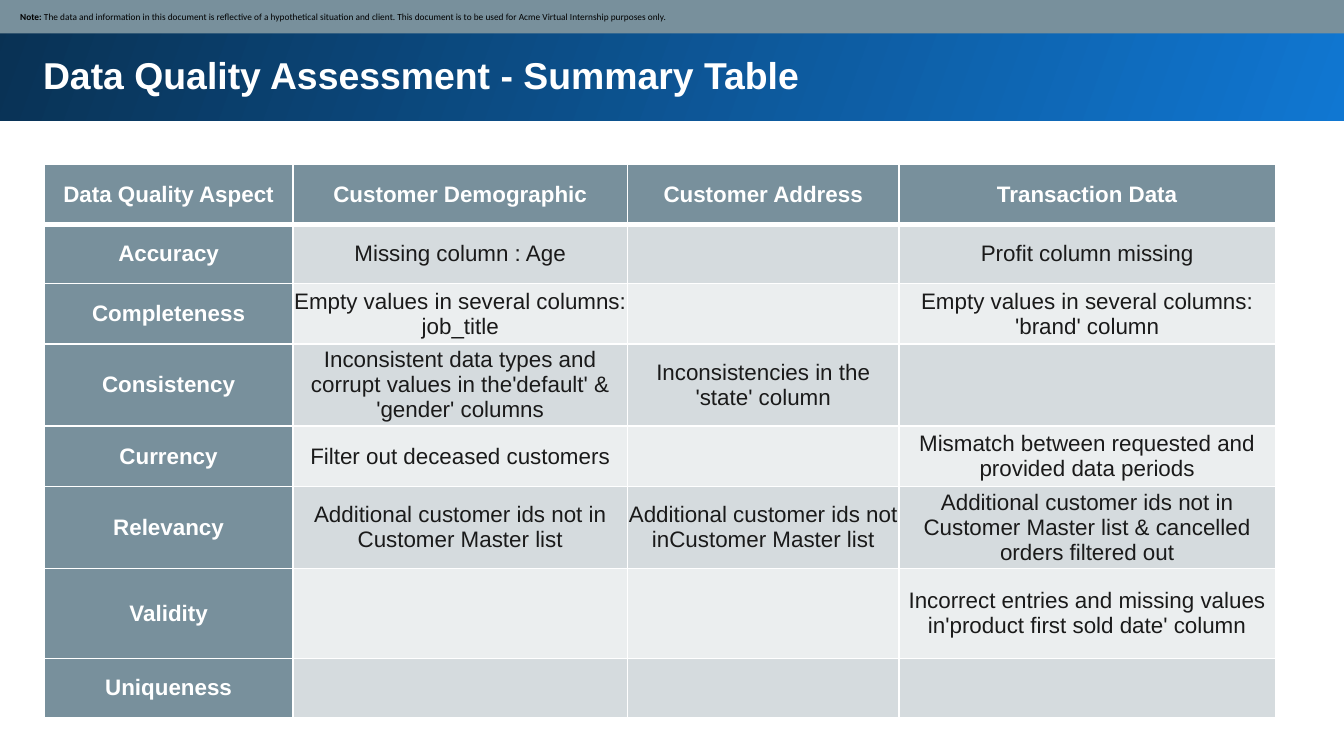
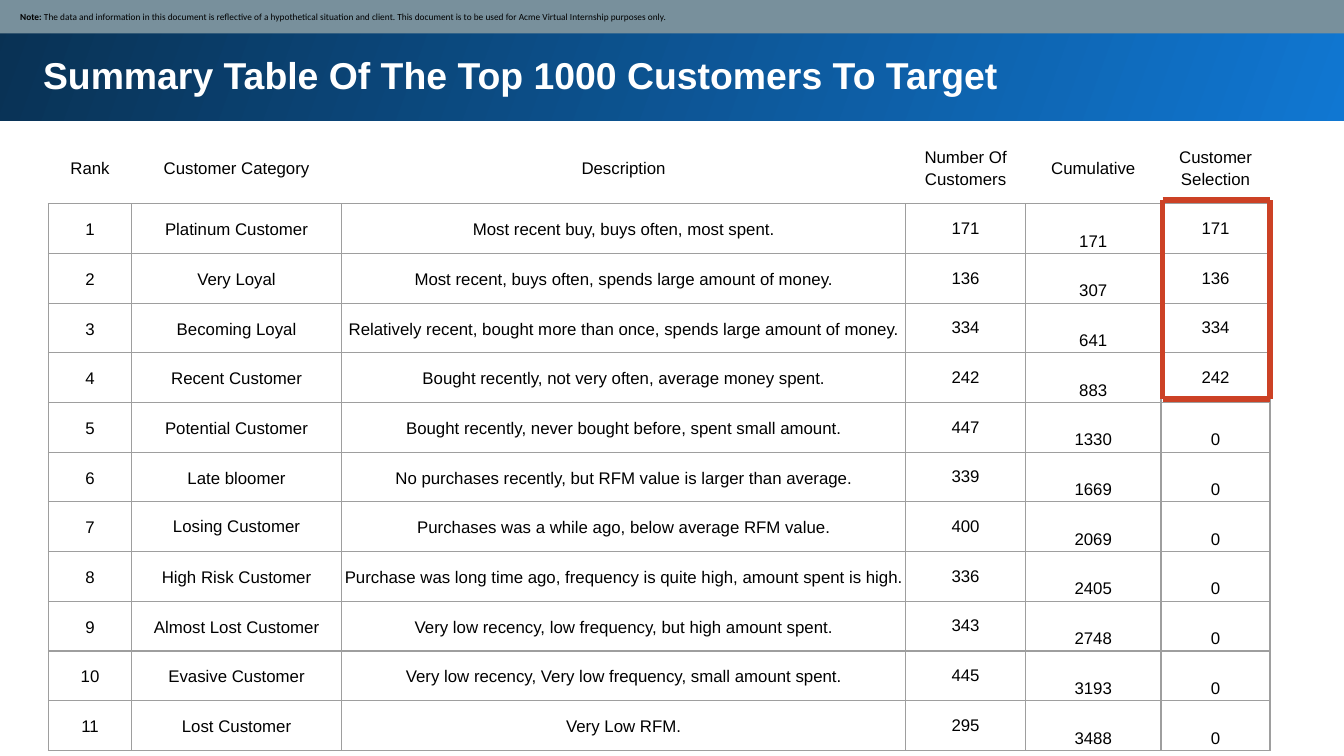
from dataclasses import dataclass
from itertools import accumulate

from lxml import etree
from pptx import Presentation
from pptx import util as u
from pptx.dml.color import RGBColor
from pptx.enum import shapes, text
from pptx.oxml.ns import qn

TOP, MIDDLE, BOTTOM = (text.MSO_ANCHOR.TOP, text.MSO_ANCHOR.MIDDLE,
                       text.MSO_ANCHOR.BOTTOM)
TITLE_ONLY = 5


@dataclass(frozen=True)
class Theme:
    white: str = "FFFFFF"
    black: str = "000000"
    ink: str = "1A1A1A"
    slate: str = "78909C"
    stripe_dark: str = "D5DBDE"
    stripe_light: str = "EBEEEF"
    grid: str = "9E9E9E"
    blue: str = "1077D2"
    navy: str = "093153"
    accent: str = "CC4125"
    font: str = "Arial"
    note_font: str = "Calibri"
    title_size: float = 20
    quality_size: float = 12
    customer_size: float = 9
    note_size: float = 5


T = Theme()


@dataclass(frozen=True)
class Box:
    left: float
    top: float
    width: float
    height: float

    def emu(self) -> tuple:
        return tuple(u.Inches(v) for v in
                     (self.left, self.top, self.width, self.height))


@dataclass(frozen=True)
class Style:
    size: float
    color: str
    bold: bool = False
    font: str = T.font


@dataclass(frozen=True)
class Edge:
    color: str
    width: float


@dataclass(frozen=True)
class CellLook:
    style: Style
    edges: tuple  # left, right, top, bottom
    fill: str | None = None
    anchor: text.MSO_ANCHOR = MIDDLE
    margin: float = 0
    spacing: float = 1.0


TITLE_BAND = Box(-0.02, -0.02, 10.05, 0.92)
TITLE_BOX = Box(0.22, 0.29, 9.37, 0.51)
NOTE_BAND = Box(-0.01, -0.01, 10.03, 0.26)
NOTE_BOX = Box(-0.01, 0.04, 10.03, 0.17)
TITLE_STYLE = Style(T.title_size, T.white, True)
NOTE = ("The data and information in this document is reflective of a "
        "hypothetical situation and client. This document is to be used for "
        "Acme Virtual Internship purposes only.")

QUALITY_COLS = (1.85, 2.49, 2.02, 2.8)
QUALITY_ROWS = (0.45, 0.44, 0.45, 0.61, 0.45, 0.61, 0.67, 0.44)
QUALITY = (
    ("Data Quality Aspect", "Customer Demographic", "Customer Address",
     "Transaction Data"),
    ("Accuracy", "Missing column : Age", "", "Profit column missing"),
    ("Completeness", "Empty values in several columns: job_title", "",
     "Empty values in several columns: 'brand' column"),
    ("Consistency",
     "Inconsistent data types and corrupt values in the'default' & 'gender' columns",
     "Inconsistencies in the 'state' column", ""),
    ("Currency", "Filter out deceased customers", "",
     "Mismatch between requested and provided data periods"),
    ("Relevancy", "Additional customer ids not in Customer Master list",
     "Additional customer ids not inCustomer Master list",
     "Additional customer ids not in Customer Master list & cancelled orders filtered out"),
    ("Validity", "", "",
     "Incorrect entries and missing values in'product first sold date' column"),
    ("Uniqueness", "", "", ""),
)

CUSTOMER_COLS = (0.62, 1.56, 4.2, 0.89, 1.01, 0.81)
CUSTOMER_HEADS = ("Rank", "Customer Category", "Description",
                  "Number Of Customers", "Cumulative", "Customer Selection")
CUSTOMERS = (
    ("Platinum Customer", "Most recent buy, buys often, most spent.", 171),
    ("Very Loyal", "Most recent, buys often, spends large amount of money.", 136),
    ("Becoming Loyal",
     "Relatively recent, bought more than once, spends large amount of money.", 334),
    ("Recent Customer", "Bought recently, not very often, average money spent.", 242),
    ("Potential Customer",
     "Bought recently, never bought before, spent small amount.", 447),
    ("Late bloomer",
     "No purchases recently, but RFM value is larger than average.", 339),
    ("Losing Customer", "Purchases was a while ago, below average RFM value.", 400),
    ("High Risk Customer",
     "Purchase was long time ago, frequency is quite high, amount spent is high.", 336),
    ("Almost Lost Customer",
     "Very low recency, low frequency, but high amount spent.", 343),
    ("Evasive Customer",
     "Very low recency, Very low frequency, small amount spent.", 445),
    ("Lost Customer", "Very Low RFM.", 295),
)
SELECTED = 4


# Drawing helpers
def rgb(color: str) -> RGBColor:
    return RGBColor.from_string(color)


def add_run(p, words: str, style: Style) -> None:
    r = p.add_run()
    r.text = words
    r.font.name = style.font
    r.font.size = u.Pt(style.size)
    r.font.bold = style.bold
    r.font.color.rgb = rgb(style.color)


def set_frame(tf, anchor, margin: float) -> None:
    tf.word_wrap = True
    tf.auto_size = text.MSO_AUTO_SIZE.SHAPE_TO_FIT_TEXT
    tf.vertical_anchor = anchor
    tf.margin_left = tf.margin_right = u.Inches(margin)
    tf.margin_top = tf.margin_bottom = u.Inches(margin)


def add_band(parent, box: Box):
    sp = parent.add_shape(shapes.MSO_SHAPE.RECTANGLE, *box.emu())
    sp.shadow.inherit = False
    sp.line.fill.background()
    return sp


def add_edge(tc_pr, index: int, tag: str, edge: Edge) -> None:
    ln = etree.Element(qn(tag), w=str(u.Pt(edge.width)))
    fill = etree.SubElement(ln, qn("a:solidFill"))
    etree.SubElement(fill, qn("a:srgbClr"), val=edge.color)
    tc_pr.insert(index, ln)


def fill_cell(cell, words: str, look: CellLook) -> None:
    tc_pr = cell._tc.get_or_add_tcPr()
    for i, (side, edge) in enumerate(zip("LRTB", look.edges)):
        add_edge(tc_pr, i, f"a:ln{side}", edge)
    if look.fill:
        cell.fill.solid()
        cell.fill.fore_color.rgb = rgb(look.fill)
    else:
        cell.fill.background()
    cell.vertical_anchor = look.anchor
    cell.margin_left = cell.margin_right = u.Inches(look.margin)
    cell.margin_top = cell.margin_bottom = u.Inches(look.margin)
    p = cell.text_frame.paragraphs[0]
    p.alignment = text.PP_ALIGN.CENTER
    p.line_spacing = look.spacing
    if words:
        add_run(p, words, look.style)


def add_grid(s, left: float, top: float, cols, rows, data, look_at) -> None:
    box = Box(left, top, sum(cols), sum(rows))
    table = s.shapes.add_table(len(rows), len(cols), *box.emu()).table
    table.first_row = table.horz_banding = False
    for column, width in zip(table.columns, cols):
        column.width = u.Inches(width)
    for row, height in zip(table.rows, rows):
        row.height = u.Inches(height)
    for i, line in enumerate(data):
        for j, words in enumerate(line):
            fill_cell(table.cell(i, j), str(words), look_at(i, j))


def add_line(s, x1: float, y1: float, x2: float, y2: float) -> None:
    c = s.shapes.add_connector(shapes.MSO_CONNECTOR.STRAIGHT,
                               *(u.Inches(v) for v in (x1, y1, x2, y2)))
    c.line.color.rgb = rgb(T.accent)
    c.line.width = u.Pt(3)
    etree.SubElement(c.element.spPr, qn("a:effectLst"))


def new_slide(prs, heading: str):
    s = prs.slides.add_slide(prs.slide_layouts[TITLE_ONLY])

    # Gradient band with the title on it
    band = add_band(s.shapes, TITLE_BAND)
    band.fill.gradient()
    band.fill.gradient_angle = 160
    for stop, color in zip(band.fill.gradient_stops, (T.blue, T.navy)):
        stop.color.rgb = rgb(color)
    title = s.shapes.title
    band.element.addnext(title.element)
    title.left, title.top, title.width, title.height = TITLE_BOX.emu()
    set_frame(title.text_frame, TOP, 0.1)
    p = title.text_frame.paragraphs[0]
    p.alignment = text.PP_ALIGN.LEFT
    add_run(p, heading, TITLE_STYLE)

    # Note strip along the top edge
    group = s.shapes.add_group_shape()
    strip = add_band(group.shapes, NOTE_BAND)
    strip.fill.solid()
    strip.fill.fore_color.rgb = rgb(T.slate)
    tf = group.shapes.add_textbox(*NOTE_BOX.emu()).text_frame
    set_frame(tf, MIDDLE, 0.05)
    tf.margin_left = u.Inches(0.16)
    p = tf.paragraphs[0]
    add_run(p, "Note: ", Style(T.note_size, T.black, True, T.note_font))
    add_run(p, NOTE, Style(T.note_size, T.black, False, T.note_font))
    return s


# Cell looks
def quality_look(i: int, j: int) -> CellLook:
    thin, thick = Edge(T.white, 1), Edge(T.white, 3)
    edges = (thin, thin, thick if i == 1 else thin, thick if i == 0 else thin)
    if i == 0 or j == 0:
        return CellLook(Style(T.quality_size, T.white, True), edges, T.slate)
    stripe = T.stripe_dark if i % 2 else T.stripe_light
    return CellLook(Style(T.quality_size, T.ink), edges, stripe)


def customer_look(i: int, j: int) -> CellLook:
    style = Style(T.customer_size, T.black)
    grey, white = Edge(T.grid, 0.75), Edge(T.white, 1)
    if i == 0:
        return CellLook(style, (white, white, white, grey),
                        margin=0.1, spacing=1.15)
    edges = (grey,) * 4
    if j == 4 or (j == 5 and i > SELECTED):
        return CellLook(style, edges, anchor=BOTTOM, margin=0.02, spacing=1.15)
    single = j in (3, 5) or (i, j) == (7, 1)
    return CellLook(style, edges, spacing=1.0 if single else 1.15)


def customer_rows() -> list:
    totals = accumulate(count for *_, count in CUSTOMERS)
    rows = [CUSTOMER_HEADS]
    for rank, ((name, about, count), total) in enumerate(zip(CUSTOMERS, totals), 1):
        chosen = count if rank <= SELECTED else 0
        rows.append((rank, name, about, count, total, chosen))
    return rows


def main() -> None:
    # Widescreen, 16 to 9
    prs = Presentation()
    prs.slide_width = u.Inches(10)
    prs.slide_height = u.Inches(10) * 9 // 16

    # Data quality table
    s = new_slide(prs, "Data Quality Assessment - Summary Table")
    add_grid(s, 0.33, 1.22, QUALITY_COLS, QUALITY_ROWS, QUALITY, quality_look)

    # Customer table
    s = new_slide(prs, "Summary Table Of The Top 1000 Customers To Target")
    heights = (0.52,) + (0.37,) * len(CUSTOMERS)
    add_grid(s, 0.36, 0.97, CUSTOMER_COLS, heights, customer_rows(), customer_look)

    # Frame around the selected customers
    left, top, right, bottom = 8.65, 1.49, 9.45, 2.97
    for x in (left, right):
        add_line(s, x, top, x, bottom)
    for y in (top, bottom):
        add_line(s, left, y, right, y)

    prs.save("out.pptx")


if __name__ == "__main__":
    main()
